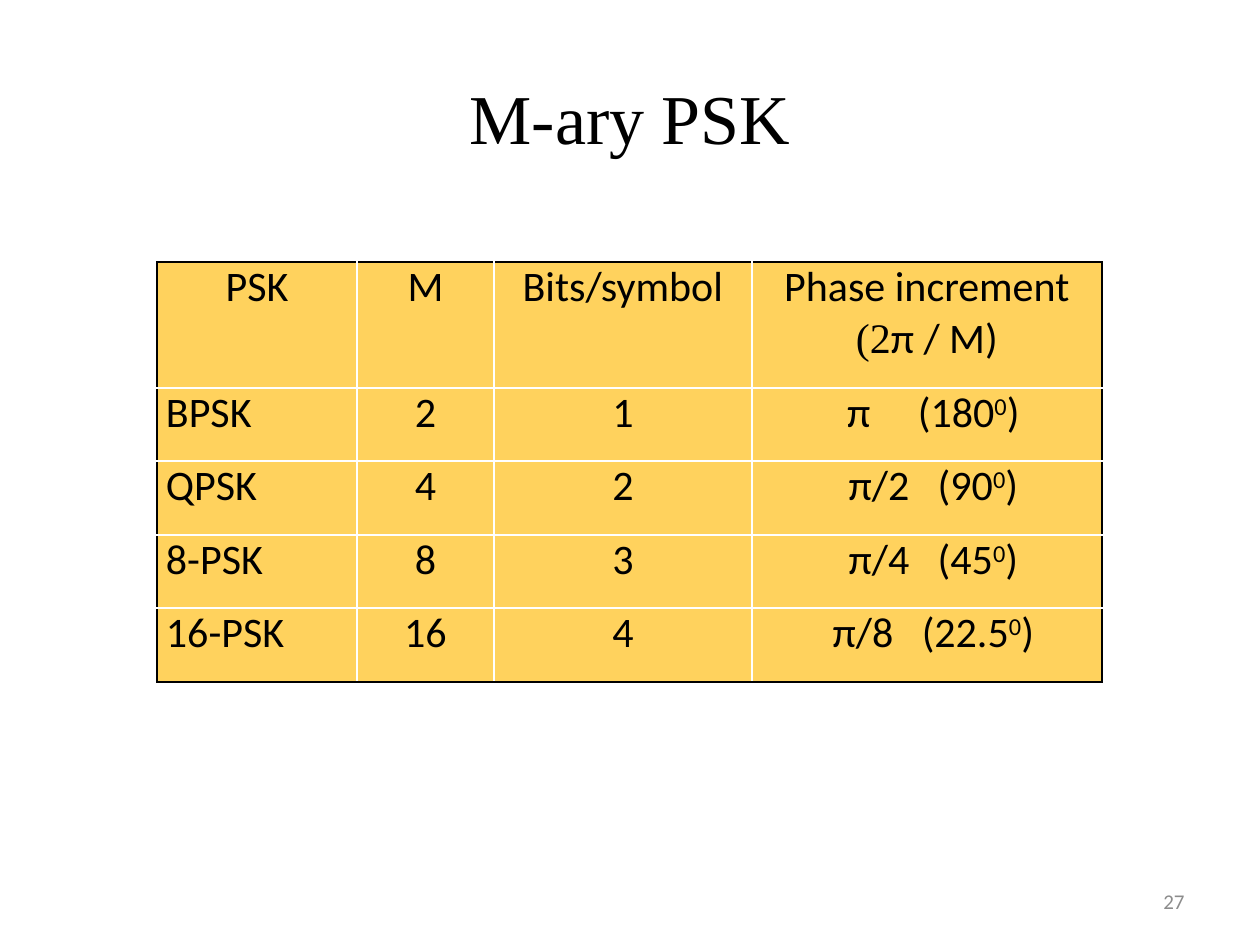
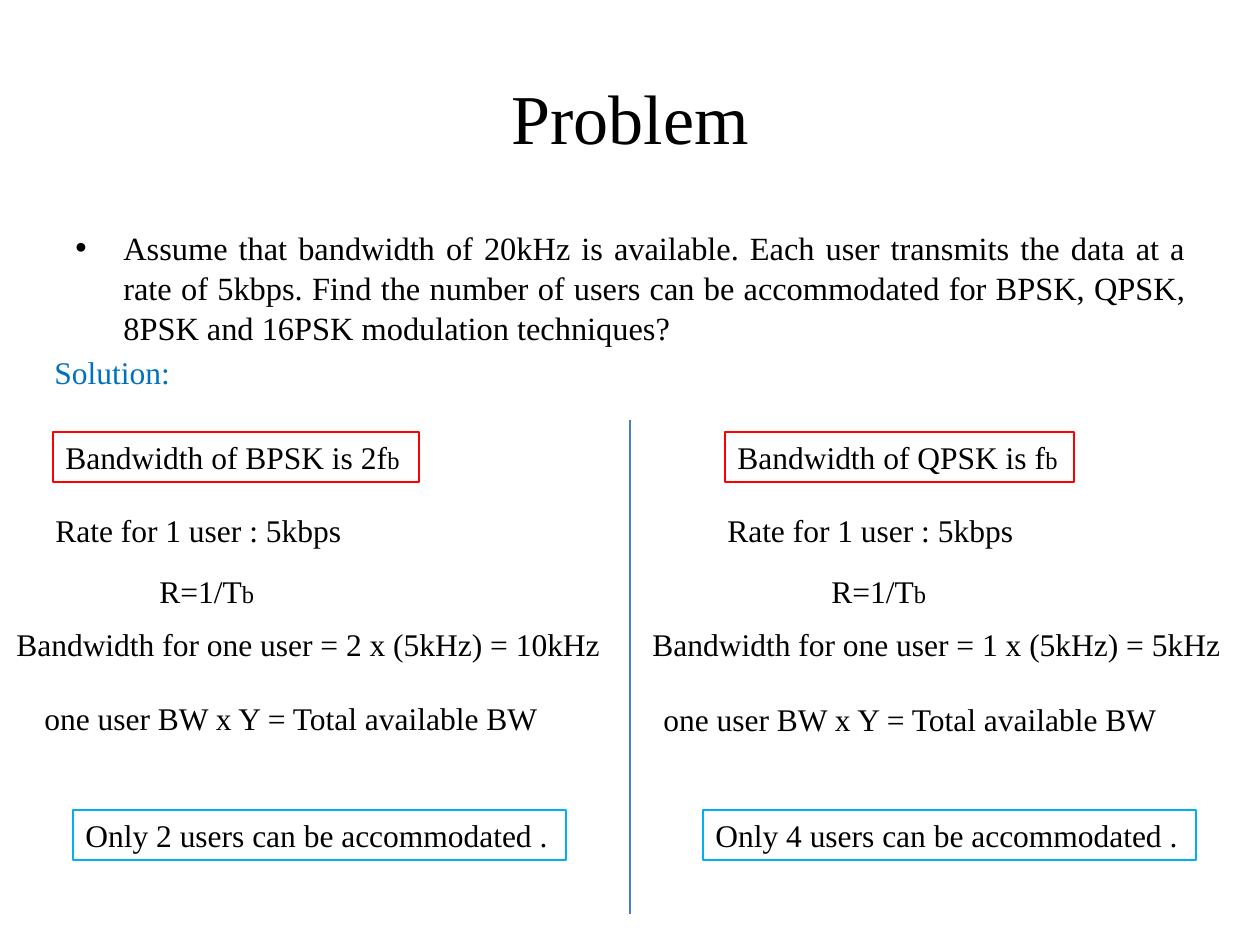
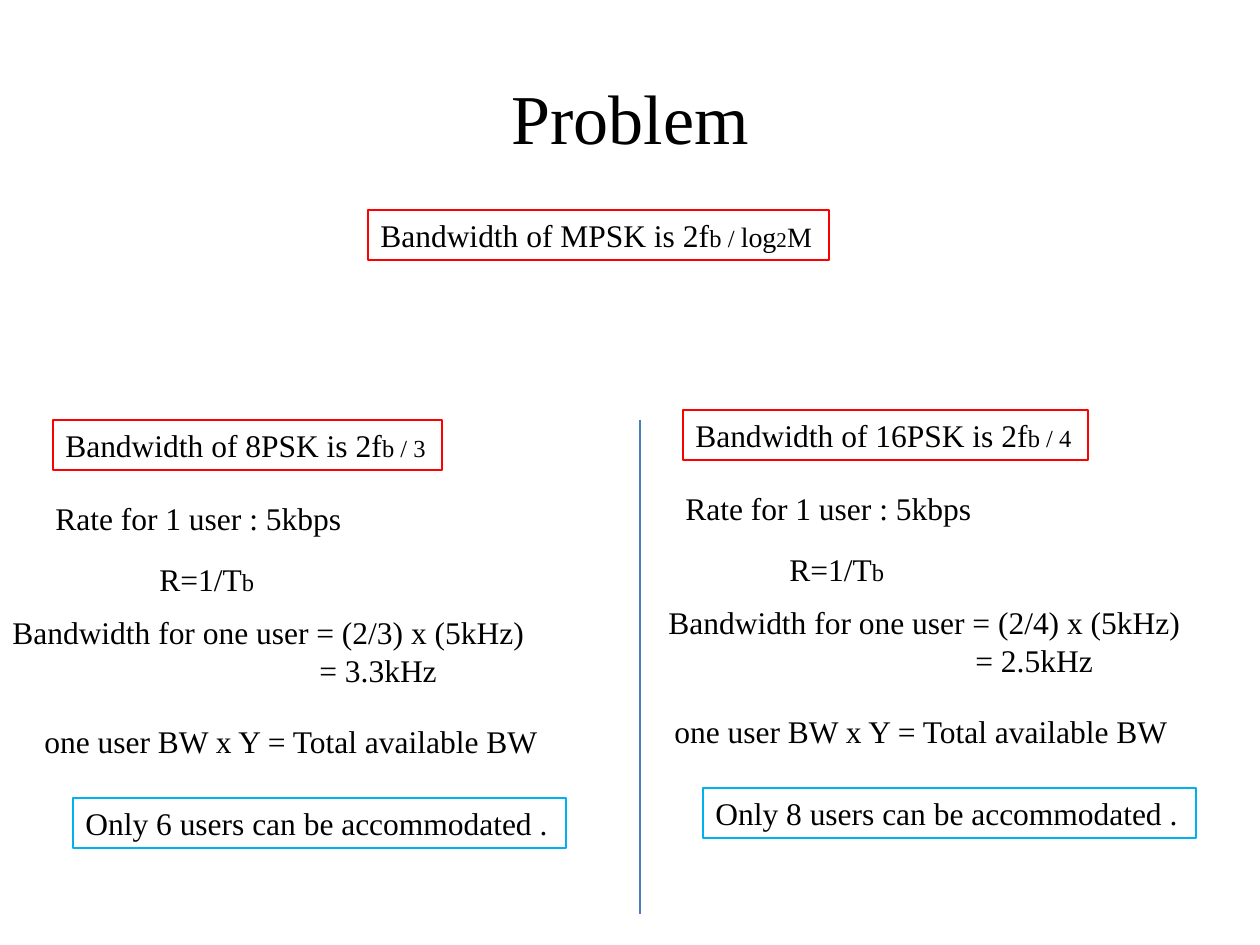
from lxml import etree
from pptx import Presentation
from pptx.dml.color import RGBColor
from pptx.enum.shapes import MSO_CONNECTOR, MSO_SHAPE
from pptx.enum.text import MSO_ANCHOR, PP_ALIGN
from pptx.oxml.ns import qn
from pptx.util import Emu, Pt

PIXELS_PER_INCH = 126
EMU_PER_INCH = 914400

BLACK = RGBColor(0x00, 0x00, 0x00)
WHITE = RGBColor(0xFF, 0xFF, 0xFF)
GREY = RGBColor(0x8C, 0x8C, 0x8C)
GOLD = RGBColor(0xFF, 0xD2, 0x5D)
RED = RGBColor(0xFF, 0x00, 0x00)
SKY = RGBColor(0x00, 0xB0, 0xF0)
BLUE = RGBColor(0x00, 0x70, 0xC0)
STEEL = RGBColor(0x4B, 0x7E, 0xBC)

SERIF = "Times New Roman"
TITLE = {"name": SERIF, "size": Pt(40)}
BODY = {"name": SERIF, "size": Pt(18)}
QUESTION = {"name": SERIF, "size": Pt(18.5)}
CELL = {"name": "Calibri", "size": Pt(24)}
PAGE_NUMBER = {"name": "Calibri", "size": Pt(12)}

SUBSCRIPT = {"size": Pt(14)}
SUPERSCRIPT = {"baseline": "30000"}
WIDE_GAP = {"spc": "2170"}
NARROW_GAP = {"spc": "1080"}


def px(count):
    return Emu(round(count * EMU_PER_INCH / PIXELS_PER_INCH))


def set_values(target, values):
    for name, value in values.items():
        setattr(target, name, value)


def phase(angle, gap, degrees):
    """Spans of a phase cell: the angle, a spaced gap, then degrees."""
    return [angle, (" ", gap), f"({degrees}", ("0", SUPERSCRIPT), ")"]


class SlideBuilder:
    """Holds the deck, the current page and the shared style."""

    def __init__(self):
        self.deck = Presentation()
        set_values(self.deck, {"slide_width": px(1260),
                               "slide_height": px(945)})
        self.page = None

    def new_page(self, title):
        self.page = self.deck.slides.add_slide(self.deck.slide_layouts[6])
        self.text([title], (63, 38, 1134, 157), TITLE,
                  align=PP_ALIGN.CENTER, anchor=MSO_ANCHOR.MIDDLE)

    def add_spans(self, para, spans, font, color=BLACK, align=PP_ALIGN.LEFT):
        """Fill a paragraph with spans: plain text or (text, changes)."""
        para.alignment = align
        for item in spans:
            text, changes = (item, {}) if isinstance(item, str) else item
            span = para.add_run()
            span.text = text
            set_values(span.font, font)
            span.font.color.rgb = color
            for name, value in changes.items():
                if name in ("name", "size"):
                    setattr(span.font, name, value)
                else:
                    span._r.get_or_add_rPr().set(name, value)

    def indent(self, para, left, first=0):
        properties = para._p.get_or_add_pPr()
        properties.set("marL", str(px(left)))
        properties.set("indent", str(px(first)))
        return properties

    def text(self, spans, place, font=BODY, color=BLACK,
             align=PP_ALIGN.LEFT, anchor=MSO_ANCHOR.TOP):
        box = self.page.shapes.add_textbox(*map(px, place))
        set_values(box.text_frame, {"word_wrap": True,
                                    "vertical_anchor": anchor})
        self.add_spans(box.text_frame.paragraphs[0], spans, font, color, align)
        return box.text_frame

    def bullet(self, text, place):
        para = self.text([text], place, QUESTION,
                         align=PP_ALIGN.JUSTIFY).paragraphs[0]
        para.line_spacing = 1.04
        properties = self.indent(para, 48, -48)
        etree.SubElement(properties, qn("a:buFont")).set("typeface", "Arial")
        etree.SubElement(properties, qn("a:buChar")).set("char", "•")

    def framed(self, spans, place, color):
        box = self.page.shapes.add_shape(MSO_SHAPE.RECTANGLE, *map(px, place))
        box.shadow.inherit = False
        box.fill.background()
        box.line.color.rgb = color
        box.line.width = Pt(0.75)
        set_values(box.text_frame, {"word_wrap": True,
                                    "vertical_anchor": MSO_ANCHOR.TOP})
        self.add_spans(box.text_frame.paragraphs[0], spans, BODY)

    def divider(self, x):
        line = self.page.shapes.add_connector(
            MSO_CONNECTOR.STRAIGHT, px(x), px(420), px(x), px(914))
        line.line.color.rgb = STEEL
        line.line.width = Pt(0.75)
        etree.SubElement(line._element.spPr, qn("a:effectLst"))

    def border(self, cell, side, color):
        line = etree.SubElement(cell._tc.get_or_add_tcPr(), qn(f"a:{side}"),
                                w=str(Pt(1)))
        fill = etree.SubElement(line, qn("a:solidFill"))
        etree.SubElement(fill, qn("a:srgbClr")).set("val", str(color))

    def table(self, rows, left, top, widths, heights):
        """Draw rows of cells; each cell is a list of lines of spans."""
        frame = self.page.shapes.add_table(
            len(heights), len(widths), px(left), px(top),
            px(sum(widths)), px(sum(heights)))
        grid = frame.table
        set_values(grid, {"first_row": False, "horz_banding": False})
        for column, width in zip(grid.columns, widths):
            column.width = px(width)
        for row, height in zip(grid.rows, heights):
            row.height = px(height)
        last_row, last_column = len(heights) - 1, len(widths) - 1
        for r, row in enumerate(rows):
            for c, lines in enumerate(row):
                cell = grid.cell(r, c)
                set_values(cell, {"margin_left": px(9), "margin_right": px(9),
                                  "margin_top": 0, "margin_bottom": 0})
                outer = {"lnL": c == 0, "lnR": c == last_column,
                         "lnT": r == 0, "lnB": r == last_row}
                for side, is_outer in outer.items():
                    self.border(cell, side, BLACK if is_outer else WHITE)
                cell.fill.solid()
                cell.fill.fore_color.rgb = GOLD
                align = PP_ALIGN.JUSTIFY if r and c == 0 else PP_ALIGN.CENTER
                for number, spans in enumerate(lines):
                    para = (cell.text_frame.add_paragraph() if number
                            else cell.text_frame.paragraphs[0])
                    self.add_spans(para, spans, CELL, align=align)
                    if r and c == last_column:
                        self.indent(para, 13)

    def solution(self, scheme, factor, heading, bandwidth, total, users):
        """Add one column of steps, placed relative to its heading box."""
        left, top, width = heading
        self.framed([f"Bandwidth of {scheme} is {factor[0]}",
                     (factor[1], SUBSCRIPT)], (left, top, width, 50), RED)
        self.text(["Rate for 1 user : 5kbps"], (left - 10, top + 73, 314, 50))
        self.text(["R=1/T", ("b", SUBSCRIPT)],
                  (left + 94, top + 134, 121, 50))
        bandwidth_left, bandwidth_width, lines = bandwidth
        height = 50 + 39 * (len(lines) - 1)
        frame = self.text(lines[:1], (bandwidth_left, top + 187,
                                      bandwidth_width, height))
        for result in lines[1:]:
            para = frame.add_paragraph()
            self.add_spans(para, [result], BODY)
            self.indent(para, 307)
        total_left, total_drop = total
        self.text(["one user BW x Y = Total available BW"],
                  (total_left, top + total_drop, 530, 50))
        answer_left = 73 if left < 630 else 703
        self.framed([f"Only {users} users can be accommodated ."],
                    (answer_left, top + 378, 493, 50), SKY)


def table_slide(builder):
    builder.new_page("M-ary PSK")
    header = [[["PSK"]], [["M"]], [["Bits/symbol"]],
              [["Phase increment"], [("(2", {"name": SERIF}), "π / M)"]]]
    schemes = [("BPSK", "2", "1", phase("π", WIDE_GAP, "180")),
               ("QPSK", "4", "2", phase("π/2", NARROW_GAP, "90")),
               ("8-PSK", "8", "3", phase("π/4", NARROW_GAP, "45")),
               ("16-PSK", "16", "4", phase("π/8", NARROW_GAP, "22.5"))]
    body = [[[[name]], [[levels]], [[bits]], [angle]]
            for name, levels, bits, angle in schemes]
    builder.table([header] + body, 157, 262,
                  [200, 137, 258, 350], [126, 73, 74, 73, 74])
    builder.text(["27"], (903, 876, 294, 50), PAGE_NUMBER, GREY,
                 PP_ALIGN.RIGHT, MSO_ANCHOR.MIDDLE)


def two_and_four_level_slide(builder):
    builder.new_page("Problem")
    builder.bullet("Assume that bandwidth of 20kHz is available. Each user "
                   "transmits the data at a rate of 5kbps. Find the number of "
                   "users can be accommodated for BPSK, QPSK, 8PSK and 16PSK "
                   "modulation techniques?", (63, 220, 1134, 116))
    builder.text(["Solution:"], (42, 347, 144, 50), color=BLUE)
    builder.solution(
        "BPSK", ("2f", "b"), (53, 432, 366),
        (4, 615, ["Bandwidth for one user = 2 x (5kHz) = 10kHz"]),
        (32, 261), 2)
    builder.divider(630)
    builder.solution(
        "QPSK", ("f", "b"), (725, 432, 349),
        (640, 600, ["Bandwidth for one user = 1 x (5kHz) = 5kHz"]),
        (651, 262), 4)


def many_level_slide(builder):
    builder.new_page("Problem")
    builder.framed(["Bandwidth of MPSK is 2f", ("b / ", SUBSCRIPT),
                    ("log", {"size": Pt(16)}), ("2", {"size": Pt(12)}),
                    ("M", {"size": Pt(16)})], (368, 210, 461, 50), RED)
    builder.solution(
        "8PSK", ("2f", "b / 3"), (53, 420, 389),
        (0, 543, ["Bandwidth for one user = (2/3) x (5kHz)", "= 3.3kHz"]),
        (32, 296), 6)
    builder.divider(640)
    builder.solution(
        "16PSK", ("2f", "b / 4"), (683, 410, 405),
        (656, 551, ["Bandwidth for one user = (2/4) x (5kHz)", "= 2.5kHz"]),
        (662, 296), 8)


def main():
    builder = SlideBuilder()
    table_slide(builder)
    two_and_four_level_slide(builder)
    many_level_slide(builder)
    builder.deck.save("out.pptx")


if __name__ == "__main__":
    main()
